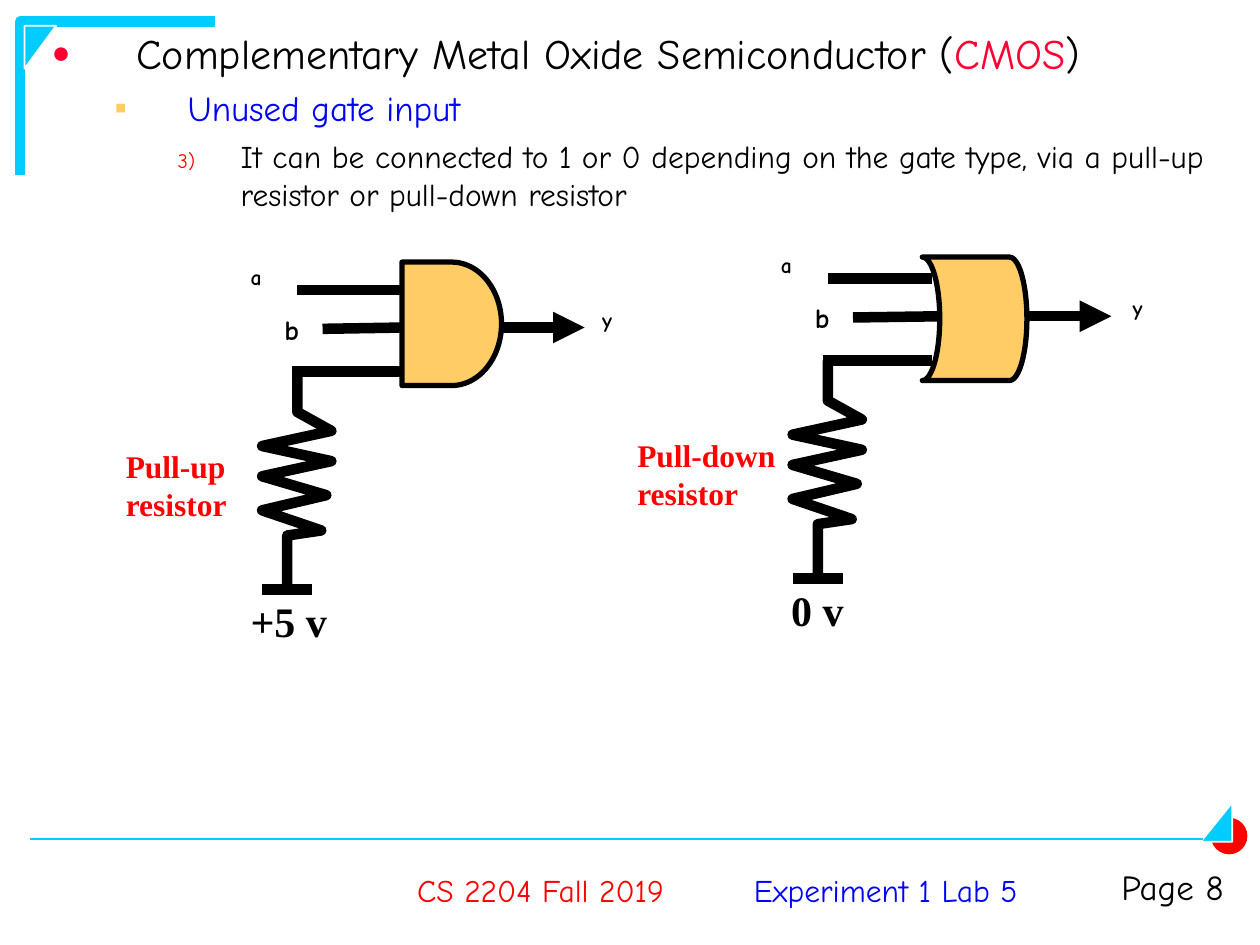
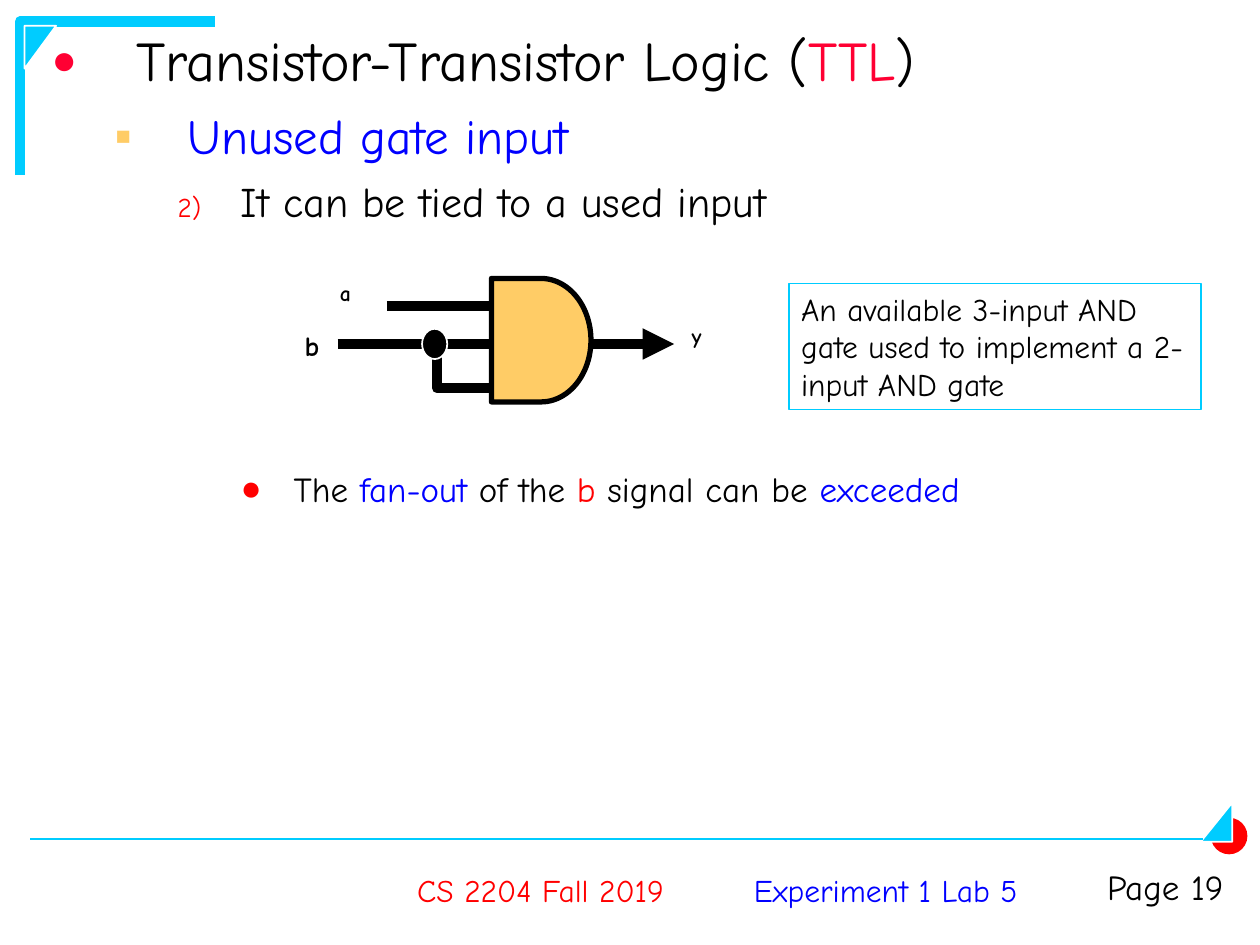
from lxml import etree
from pptx import Presentation
from pptx.dml.color import RGBColor
from pptx.enum.shapes import MSO_CONNECTOR, MSO_SHAPE
from pptx.enum.text import MSO_ANCHOR, MSO_AUTO_SIZE, PP_ALIGN
from pptx.oxml.ns import qn
from pptx.util import Inches, Pt

TRIANGLE, OVAL = MSO_SHAPE.RIGHT_TRIANGLE, MSO_SHAPE.OVAL
AND_GATE, OR_GATE = MSO_SHAPE.FLOWCHART_DELAY, MSO_SHAPE.FLOWCHART_STORED_DATA
LEFT, CENTER, RIGHT = PP_ALIGN.LEFT, PP_ALIGN.CENTER, PP_ALIGN.RIGHT
TOP, MIDDLE = MSO_ANCHOR.TOP, MSO_ANCHOR.MIDDLE

COMIC, TIMES = "Comic Neue", "Times New Roman"
BLACK, WHITE, RED, BLUE = "000000", "FFFFFF", "FF0000", "0000FF"
CYAN, CRIMSON, AMBER = "00CCFF", "FF0033", "FFCC66"

# font, size, colour, bold, alignment, anchor, line spacing
TEXT_STYLES = {
    "signal": (COMIC, 12.4, BLACK, True, LEFT, TOP, 0.7),
    "signal b": (COMIC, 16, BLACK, True, LEFT, TOP, 0.8),
    "supply": (TIMES, 24, BLACK, True, LEFT, TOP, 1.0),
    "resistor": (TIMES, 18, RED, True, LEFT, TOP, 1.0),
    "remark": (COMIC, 18, BLACK, False, LEFT, TOP, 1.0),
    "course": (COMIC, 18, RED, False, CENTER, MIDDLE, 1.0),
    "lab": (COMIC, 18, BLUE, False, CENTER, MIDDLE, 1.0),
    "page": (COMIC, 20, BLACK, False, RIGHT, TOP, 1.0),
}
# indent, hanging, bullet, bullet font, bullet colour, bullet size in percent
LIST_LEVELS = [
    (0.67, 0.67, "●", "Arial", CRIMSON, 75),
    (1.08, 0.58, "▪", "Arial", AMBER, 100),
    (1.5, 0.5, None, COMIC, RED, 65),
    (1.92, 0.42, "●", "Arial", RED, 100),
]
RESISTOR = [(0, 0), (0, 0.32), (0.27, 0.47), (-0.28, 0.59), (0.27, 0.71),
            (-0.28, 0.83), (0.23, 0.98), (-0.28, 1.1), (0.19, 1.26),
            (-0.08, 1.3), (-0.08, 1.69)]


def add_preset(slide, kind, box, fill, line, width, rotation=0):
    shape = slide.shapes.add_shape(kind, *map(Inches, box))
    shape.shadow.inherit = False
    shape.rotation = rotation
    shape.fill.solid()
    shape.fill.fore_color.rgb = RGBColor.from_string(fill)
    shape.line.color.rgb = RGBColor.from_string(line)
    shape.line.width = Pt(width)
    return shape


def add_line(slide, points, color=BLACK, width=6, arrow=False):
    """Draw a connector through two points, or an open outline through more."""
    points = [(Inches(x), Inches(y)) for x, y in points]
    if len(points) == 2:
        shape = slide.shapes.add_connector(MSO_CONNECTOR.STRAIGHT, *points[0], *points[1])
    else:
        builder = slide.shapes.build_freeform(*points[0])
        builder.add_line_segments(points[1:], close=False)
        shape = builder.convert_to_shape()
        shape.fill.background()
    shape.line.color.rgb = RGBColor.from_string(color)
    shape.line.width = Pt(width)
    properties = shape.element.spPr
    outline = properties.find(qn("a:ln"))
    etree.SubElement(outline, qn("a:round"))
    if arrow:
        etree.SubElement(outline, qn("a:tailEnd"), type="triangle")
    etree.SubElement(properties, qn("a:effectLst"))
    return shape


presentation = Presentation()
presentation.slide_width, presentation.slide_height = Inches(10), Inches(7.5)
layout = presentation.slide_layouts[1]
cmos = presentation.slides.add_slide(layout)
ttl = presentation.slides.add_slide(layout)

# Frame shared by all slides: drawn once, then moved to the layout
frame = [
    add_line(cmos, [(0.16, 1.39), (0.16, 0.17), (1.71, 0.17)], CYAN),
    add_preset(cmos, TRIANGLE, (0.15, 0.25, 0.34, 0.25), CYAN, WHITE, 1, 90),
    add_preset(cmos, OVAL, (9.61, 6.49, 0.29, 0.29), RED, RED, 0),
    add_preset(cmos, TRIANGLE, (9.5, 6.4, 0.31, 0.25), CYAN, WHITE, 1, 270),
    add_line(cmos, [(9.78, 6.46), (9.78, 6.68), (9.63, 6.68)], WHITE, 0.75),
    add_line(cmos, [(0.24, 6.66), (9.55, 6.66)], CYAN, 1.5),
]
frame[2].line.fill.background()
for shape in frame:
    layout.shapes.element.append(shape.element)

# Titles and lists: level, size, space before, first number, runs
lists = [
    (cmos, 0.64, [
        (0, 24, 0, None, [("Complementary Metal Oxide Semiconductor (", BLACK),
                          ("CMOS", CRIMSON), (")", BLACK)]),
        (1, 20, 0, None, [("Unused gate input", BLUE)]),
        (2, 18, 4.5, 3, [("It can be connected to 1 or 0 depending on the gate type, "
                          "via a pull-up resistor or pull-down resistor", BLACK)]),
    ]),
    (ttl, 0.79, [
        (0, 32, 0, None, [("Transistor-Transistor Logic (", BLACK),
                          ("TTL", CRIMSON), (")", BLACK)]),
        (1, 28, 0, None, [("Unused gate input", BLUE)]),
        (2, 24, 6, 2, [("It can be tied to a used input", BLACK)]),
        (3, 20, 138, None, [("The ", BLACK), ("fan-out", BLUE), (" of the ", BLACK),
                            ("b", RED), (" signal can be ", BLACK), ("exceeded", BLUE)]),
    ]),
]
for slide, body_top, items in lists:
    title, body = slide.shapes.title, slide.placeholders[1]
    for holder, top, bottom in ((title, 0.21, body_top), (body, body_top, 6.67)):
        holder.left, holder.top = Inches(0.21), Inches(top)
        holder.width, holder.height = Inches(9.58), Inches(bottom - top)
        text_frame = holder.text_frame
        text_frame.auto_size = MSO_AUTO_SIZE.NONE
        text_frame.word_wrap = True
        text_frame.vertical_anchor = TOP
        text_frame.margin_left = text_frame.margin_right = Inches(0.2)
        text_frame.margin_top = text_frame.margin_bottom = Inches(0.05)
    paragraphs = [title.text_frame.paragraphs[0], body.text_frame.paragraphs[0]]
    paragraphs += [body.text_frame.add_paragraph() for _ in items[2:]]
    for paragraph, (level, size, space, number, runs) in zip(paragraphs, items):
        indent, hanging, bullet, bullet_font, bullet_color, percent = LIST_LEVELS[level]
        properties = paragraph._p.get_or_add_pPr()
        properties.set("marL", str(Inches(indent)))
        properties.set("indent", str(-Inches(hanging)))
        color = etree.SubElement(properties, qn("a:buClr"))
        etree.SubElement(color, qn("a:srgbClr"), val=bullet_color)
        etree.SubElement(properties, qn("a:buSzPct"), val=str(percent * 1000))
        etree.SubElement(properties, qn("a:buFont"), typeface=bullet_font)
        if number:
            etree.SubElement(properties, qn("a:buAutoNum"),
                             type="arabicParenR", startAt=str(number))
        else:
            etree.SubElement(properties, qn("a:buChar"), char=bullet)
        paragraph.level = level
        paragraph.alignment = LEFT
        paragraph.line_spacing = 1.0 if level else 0.9
        paragraph.space_before = Pt(space)
        for text, run_color in runs:
            run = paragraph.add_run()
            run.text = text
            run.font.name, run.font.size = COMIC, Pt(size)
            run.font.color.rgb = RGBColor.from_string(run_color)

# Labels: slide, style, text, box
labels = []
for slide, number in ((cmos, 8), (ttl, 19)):
    labels += [
        (slide, "lab", "Experiment 1 Lab 5", (5.75, 6.74, 2.56, 0.64)),
        (slide, "course", "CS 2204 Fall 2019", (2.99, 6.74, 2.6, 0.64)),
        (slide, "page", f"Page {number}", (8.35, 6.82, 1.46, 0.56)),
    ]

# Gate circuits, placed by the right end of input a
circuits = [
    (cmos, 3.19, 2.3, AND_GATE, "Pull-up\nresistor", 2.29, "+5 v", 1.3),
    (cmos, 7.4, 2.21, OR_GATE, "Pull-down\nresistor", 2.44, "0 v", 1.22),
    (ttl, 3.9, 2.43, AND_GATE, None, 0, None, 0),
]
for slide, x, y, gate, resistor, resistor_offset, supply, supply_offset in circuits:
    is_and = gate == AND_GATE
    b_length, b_label_offset = (0.63, 1.03) if resistor else (1.22, 1.58)
    add_line(slide, [(x - 0.83, y), (x, y)])
    add_line(slide, [(x - b_length, y + (0.31 if resistor else 0.3)),
                     (x if is_and else x + 0.08, y + 0.3)])
    add_line(slide, [(x + (0.78 if is_and else 0.75), y + 0.3),
                     (x + (1.45 if is_and else 1.42), y + 0.3)], arrow=True)
    labels += [
        (slide, "signal", "a", (x - 1.3, y - 0.2, 0.4, 0.25)),
        (slide, "signal b", "b", (x - b_label_offset, y + 0.18, 0.5, 0.33)),
        (slide, "signal", "y", (x + 1.49, y + 0.14, 0.4, 0.25)),
    ]
    if resistor:
        add_line(slide, [(x - 0.87, y + 0.65), (x, y + 0.65)])
        add_line(slide, [(x - 0.83 + dx, y + 0.65 + dy) for dx, dy in RESISTOR])
        add_line(slide, [(x - 1.11, y + 2.38), (x - 0.71, y + 2.38)])
        labels += [
            (slide, "resistor", resistor, (x - resistor_offset, y + 1.2, 1.4, 0.7)),
            (slide, "supply", supply, (x - supply_offset, y + 2.38, 0.95, 0.5)),
        ]
    else:
        add_line(slide, [(x - 0.43, y + 0.34), (x - 0.43, y + 0.65), (x, y + 0.65)])
        add_preset(slide, OVAL, (x - 0.55, y + 0.18, 0.2, 0.24), BLACK, WHITE, 1)
    if is_and:
        add_preset(slide, gate, (x, y - 0.22, 0.79, 0.98), AMBER, BLACK, 3)
    else:
        add_preset(slide, gate, (x - 0.08, y - 0.17, 0.83, 0.98), AMBER, BLACK, 3, 180)

labels.append((ttl, "remark", "An available 3-input AND gate used to implement "
               "a 2-input AND gate", (6.26, 2.25, 3.27, 1)))

for slide, style, text, box in labels:
    font, size, color, bold, alignment, anchor, spacing = TEXT_STYLES[style]
    label = slide.shapes.add_textbox(*map(Inches, box))
    if style == "remark":
        label.line.color.rgb = RGBColor.from_string(CYAN)
        label.line.width = Pt(1)
    text_frame = label.text_frame
    text_frame.word_wrap = True
    text_frame.vertical_anchor = anchor
    text_frame.text = text
    for paragraph in text_frame.paragraphs:
        paragraph.alignment = alignment
        paragraph.line_spacing = spacing
        for run in paragraph.runs:
            run.font.name, run.font.size, run.font.bold = font, Pt(size), bold
            run.font.color.rgb = RGBColor.from_string(color)

presentation.save("out.pptx")
